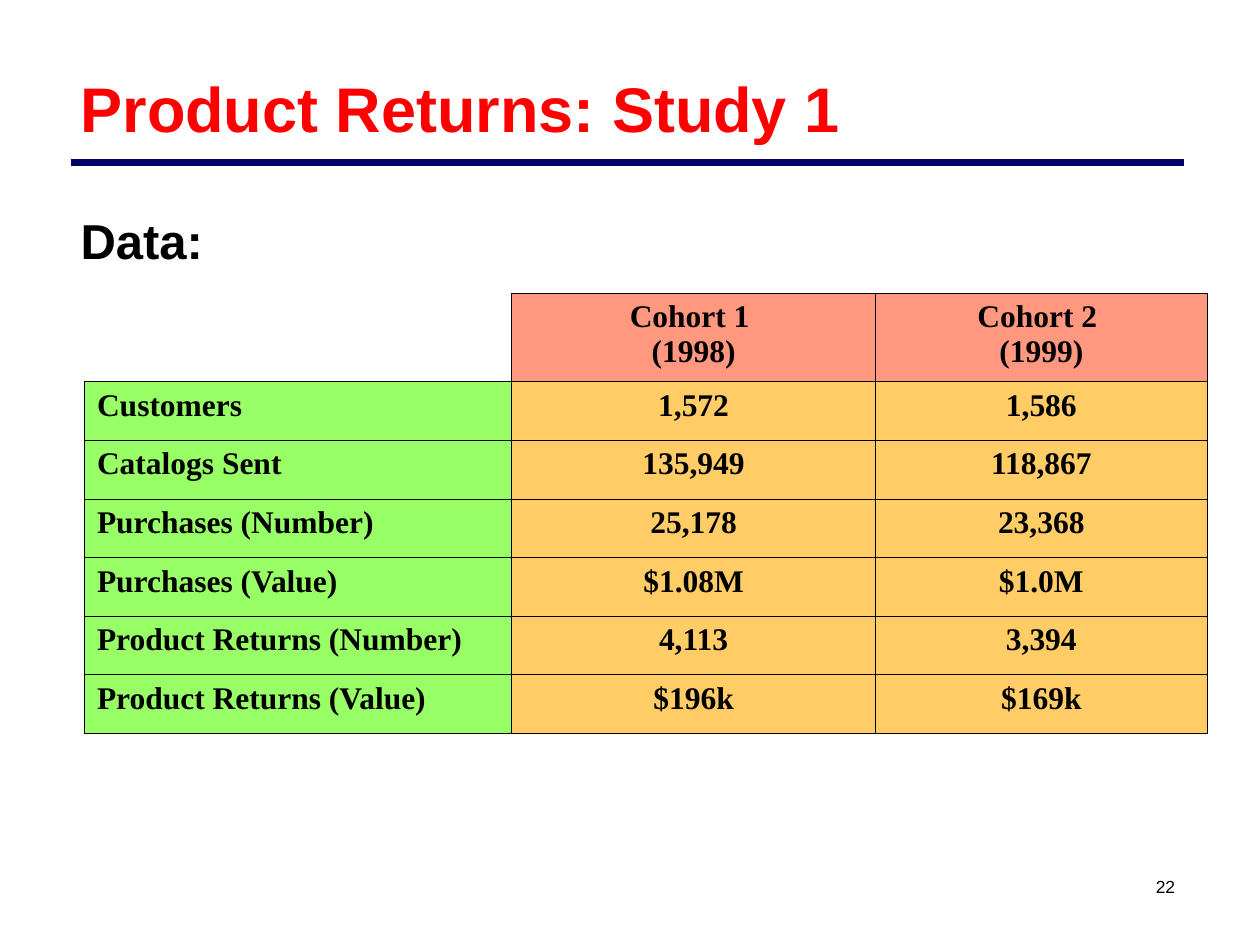
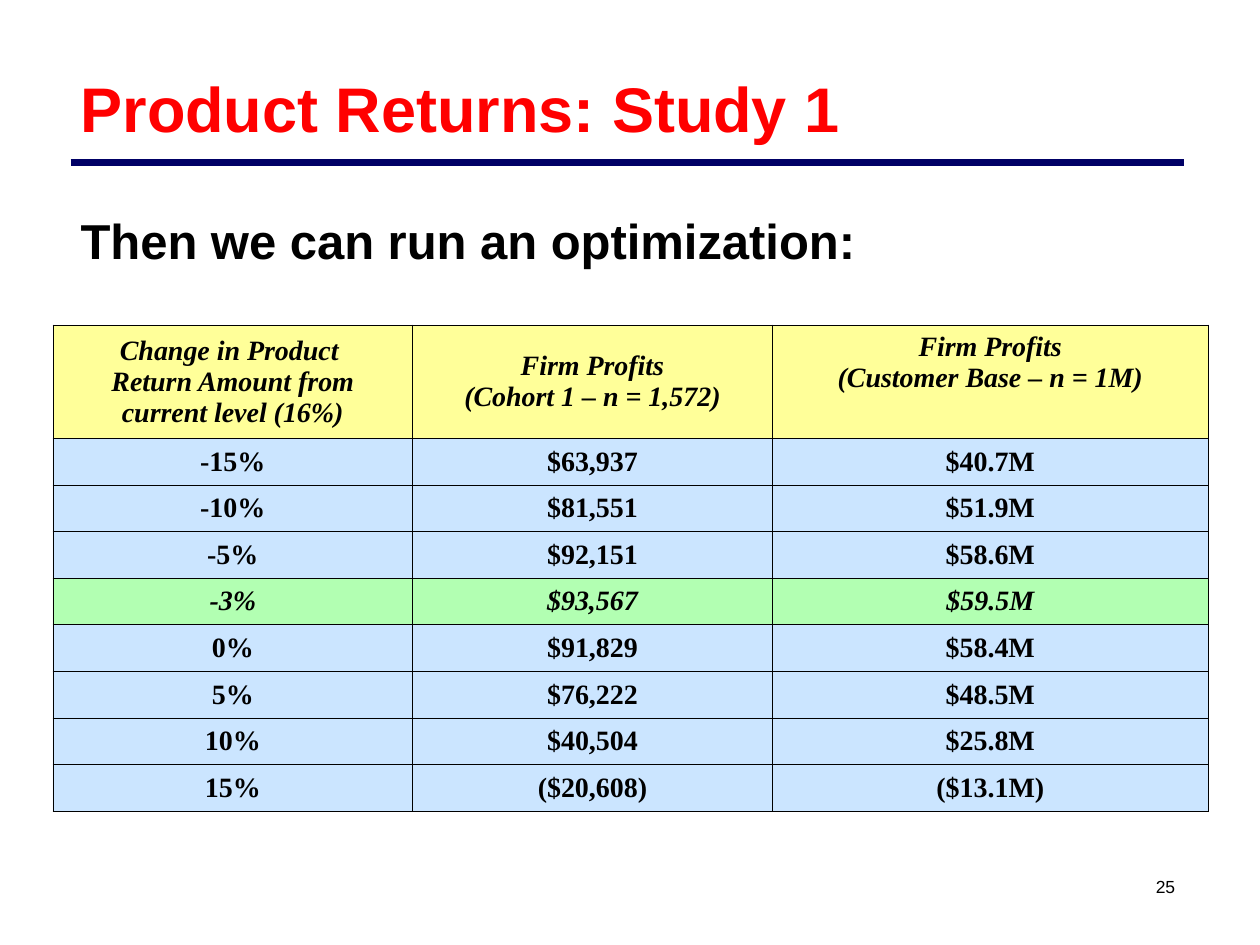
from dataclasses import dataclass, field

import pptx
import pptx.dml.color
import pptx.enum.shapes
import pptx.enum.text
import pptx.oxml
import pptx.oxml.ns
import pptx.oxml.xmlchemy
import pptx.util

GRID_COLUMNS = 100
GRID_ROWS = 75
ANCHOR = pptx.enum.text.MSO_ANCHOR
ALIGN = pptx.enum.text.PP_ALIGN


@dataclass(frozen=True)
class Tint:
    color: str
    opacity: int = 100


@dataclass(frozen=True)
class Theme:
    heading_font: str = "Arial"
    table_font: str = "Times New Roman"
    title_size: int = 36
    lead_size: int = 28
    number_size: int = 10
    lead_space: int = 7
    rule_width: float = 4.5
    border_width: float = 0.45
    ink: str = "000000"
    title: str = "FF0000"
    rule: str = "000066"
    cohort: Tint = Tint("FF3300", 50)
    measure: Tint = Tint("99FF66")
    figure: Tint = Tint("FFCC66")
    scenario_head: Tint = Tint("FFFF99")
    scenario: Tint = Tint("99CCFF", 50)
    optimum: Tint = Tint("66FF66", 50)


THEME = Theme()


@dataclass(frozen=True)
class Area:
    column: float
    row: float
    columns: float
    rows: float


@dataclass(frozen=True)
class TextStyle:
    size: int
    font: str = THEME.table_font
    color: str = THEME.ink
    bold: bool = True
    italic: bool = False


@dataclass(frozen=True)
class CellStyle:
    tint: Tint | None
    text: TextStyle
    align: ALIGN = ALIGN.CENTER
    anchor: ANCHOR = ANCHOR.TOP
    borders: str = "LRTB"


@dataclass(frozen=True)
class TableRow:
    texts: tuple[str, ...]
    styles: tuple[CellStyle, ...]
    height: float


@dataclass(frozen=True)
class TableSpec:
    column: float
    row: float
    widths: tuple[float, ...]
    rows: list[TableRow] = field(default_factory=list)


@dataclass(frozen=True)
class StudySlide:
    number: str
    lead: str
    table: TableSpec


TITLE = "Product Returns: Study 1"
TITLE_AREA = Area(5.6, 3, 88.1, 10.3)
LEAD_AREA = Area(5.6, 16.7, 88.3, 46.7)
NUMBER_AREA = Area(90, 68.5, 5, 3.7)
RULE_AREA = Area(5.6, 12.9, 88.4, 0)


def cohort_table() -> TableSpec:
    text = TextStyle(18)
    corner = CellStyle(None, text, borders="RB")
    cohort = CellStyle(THEME.cohort, text)
    measure = CellStyle(THEME.measure, text, ALIGN.LEFT)
    figure = CellStyle(THEME.figure, text)
    measures = (
        ("Customers", "1,572", "1,586"),
        ("Catalogs Sent", "135,949", "118,867"),
        ("Purchases (Number)", "25,178", "23,368"),
        ("Purchases (Value)", "$1.08M", "$1.0M"),
        ("Product Returns (Number)", "4,113", "3,394"),
        ("Product Returns (Value)", "$196k", "$169k"),
    )
    head = TableRow(("", "Cohort 1 \v(1998)", "Cohort 2 \v(1999)"), (corner, cohort, cohort), 7)
    body = [TableRow(texts, (measure, figure, figure), 4.65) for texts in measures]
    return TableSpec(6.7, 23.3, (33.9, 28.9, 26.3), [head, *body])


def profit_table() -> TableSpec:
    plain, italic = TextStyle(16), TextStyle(16, italic=True)
    head_middle = CellStyle(THEME.scenario_head, italic, anchor=ANCHOR.MIDDLE)
    head_top = CellStyle(THEME.scenario_head, italic)
    scenario = CellStyle(THEME.scenario, plain, anchor=ANCHOR.MIDDLE)
    optimum = CellStyle(THEME.optimum, italic, anchor=ANCHOR.MIDDLE)
    scenarios = (
        ("-15%", "$63,937", "$40.7M"),
        ("-10%", "$81,551", "$51.9M"),
        ("-5%", "$92,151", "$58.6M"),
        ("-3%", "$93,567", "$59.5M"),
        ("0%", "$91,829", "$58.4M"),
        ("5%", "$76,222", "$48.5M"),
        ("10%", "$40,504", "$25.8M"),
        ("15%", "($20,608)", "($13.1M)"),
    )
    head = TableRow(
        (
            "Change in Product \vReturn Amount from current level (16%)",
            "Firm Profits\n(Cohort 1 – n = 1,572)",
            "Firm Profits\n(Customer Base – n = 1M)",
        ),
        (head_middle, head_middle, head_top),
        9,
    )
    body = [
        TableRow(texts, (optimum if texts[0] == "-3%" else scenario,) * 3, 3.7)
        for texts in scenarios
    ]
    return TableSpec(4.2, 25.8, (28.55, 28.55, 34.6), [head, *body])


class Deck:
    def __init__(self) -> None:
        self.presentation = pptx.Presentation()
        self.presentation.slide_width = pptx.util.Inches(10)
        self.presentation.slide_height = pptx.util.Inches(7.5)

    def x(self, columns: float) -> int:
        return round(self.presentation.slide_width * columns / GRID_COLUMNS)

    def y(self, rows: float) -> int:
        return round(self.presentation.slide_height * rows / GRID_ROWS)

    def bounds(self, area: Area) -> tuple[int, int, int, int]:
        return self.x(area.column), self.y(area.row), self.x(area.columns), self.y(area.rows)

    def add_title(self, slide: pptx.slide.Slide) -> None:
        title = slide.shapes.title
        title.left, title.top, title.width, title.height = self.bounds(TITLE_AREA)
        style = TextStyle(THEME.title_size, THEME.heading_font, THEME.title)
        write(title.text_frame, TITLE, style, ALIGN.LEFT)
        frame = title.text_frame
        frame.auto_size = pptx.enum.text.MSO_AUTO_SIZE.NONE
        frame.vertical_anchor = ANCHOR.MIDDLE
        frame.margin_left = self.x(0.8)
        frame.margin_top, frame.margin_bottom = self.y(0.8), 0

    def add_rule(self, slide: pptx.slide.Slide) -> None:
        left, top, width, height = self.bounds(RULE_AREA)
        rule = slide.shapes.add_connector(
            pptx.enum.shapes.MSO_CONNECTOR.STRAIGHT, left, top, left + width, top + height
        )
        rule.line.color.rgb = pptx.dml.color.RGBColor.from_string(THEME.rule)
        rule.line.width = pptx.util.Pt(THEME.rule_width)
        properties = rule._element.spPr
        properties.append(properties.makeelement(pptx.oxml.ns.qn("a:effectLst"), {}))

    def add_lead(self, slide: pptx.slide.Slide, lead: str) -> None:
        frame = slide.shapes.add_textbox(*self.bounds(LEAD_AREA)).text_frame
        frame.word_wrap = True
        frame.margin_left, frame.margin_top = self.x(0.8), 0
        write(frame, lead, TextStyle(THEME.lead_size, THEME.heading_font), ALIGN.LEFT)
        frame.paragraphs[0].space_before = pptx.util.Pt(THEME.lead_space)

    def add_number(self, slide: pptx.slide.Slide, number: str) -> None:
        frame = slide.shapes.add_textbox(*self.bounds(NUMBER_AREA)).text_frame
        frame.word_wrap = True
        frame.vertical_anchor = ANCHOR.MIDDLE
        style = TextStyle(THEME.number_size, THEME.heading_font, bold=False)
        write(frame, number, style, ALIGN.CENTER)

    def add_table(self, slide: pptx.slide.Slide, spec: TableSpec) -> None:
        area = Area(spec.column, spec.row, sum(spec.widths), sum(row.height for row in spec.rows))
        table = slide.shapes.add_table(
            len(spec.rows), len(spec.widths), *self.bounds(area)
        ).table
        table.first_row = table.horz_banding = False
        for column, width in zip(table.columns, spec.widths):
            column.width = self.x(width)
        for table_row, row in zip(table.rows, spec.rows):
            table_row.height = self.y(row.height)
            for cell, text, style in zip(table_row.cells, row.texts, row.styles):
                format_cell(cell, text, style)

    def add_study_slide(self, study: StudySlide) -> None:
        layout = self.presentation.slide_layouts.get_by_name("Title Only")
        slide = self.presentation.slides.add_slide(layout)
        self.add_number(slide, study.number)
        self.add_rule(slide)
        self.add_lead(slide, study.lead)
        self.add_title(slide)
        self.add_table(slide, study.table)


def write(frame: pptx.text.text.TextFrame, text: str, style: TextStyle, align: ALIGN) -> None:
    for index, paragraph_text in enumerate(text.split("\n")):
        paragraph = frame.add_paragraph() if index else frame.paragraphs[0]
        paragraph.alignment = align
        for line_index, line in enumerate(paragraph_text.split("\v")):
            if line_index:
                paragraph.add_line_break()
            run = paragraph.add_run()
            run.text = line
            run.font.name = style.font
            run.font.size = pptx.util.Pt(style.size)
            run.font.bold = style.bold
            run.font.italic = style.italic
            run.font.color.rgb = pptx.dml.color.RGBColor.from_string(style.color)


def format_cell(cell: pptx.table._Cell, text: str, style: CellStyle) -> None:
    if text:
        write(cell.text_frame, text, style.text, style.align)
    cell.vertical_anchor = style.anchor
    paint(cell, style.tint)
    properties = cell._tc.get_or_add_tcPr()
    for index, side in enumerate("LRTB"):
        properties.insert(index, border(side, side in style.borders))


def paint(cell: pptx.table._Cell, tint: Tint | None) -> None:
    if tint is None:
        cell.fill.background()
        return
    cell.fill.solid()
    cell.fill.fore_color.rgb = pptx.dml.color.RGBColor.from_string(tint.color)
    if tint.opacity < 100:
        color = cell._tc.tcPr.find(".//" + pptx.oxml.ns.qn("a:srgbClr"))
        alpha = color.makeelement(pptx.oxml.ns.qn("a:alpha"), {"val": str(tint.opacity * 1000)})
        color.append(alpha)


def border(side: str, visible: bool) -> pptx.oxml.xmlchemy.BaseOxmlElement:
    ink = f'<a:solidFill><a:srgbClr val="{THEME.ink}"/></a:solidFill>' if visible else "<a:noFill/>"
    width = pptx.util.Pt(THEME.border_width)
    return pptx.oxml.parse_xml(
        f'<a:ln{side} {pptx.oxml.ns.nsdecls("a")} w="{width}">{ink}</a:ln{side}>'
    )


def main() -> None:
    deck = Deck()
    for study in (
        StudySlide("22", "Data:", cohort_table()),
        StudySlide("25", "Then we can run an optimization:", profit_table()),
    ):
        deck.add_study_slide(study)
    deck.presentation.save("out.pptx")


if __name__ == "__main__":
    main()
